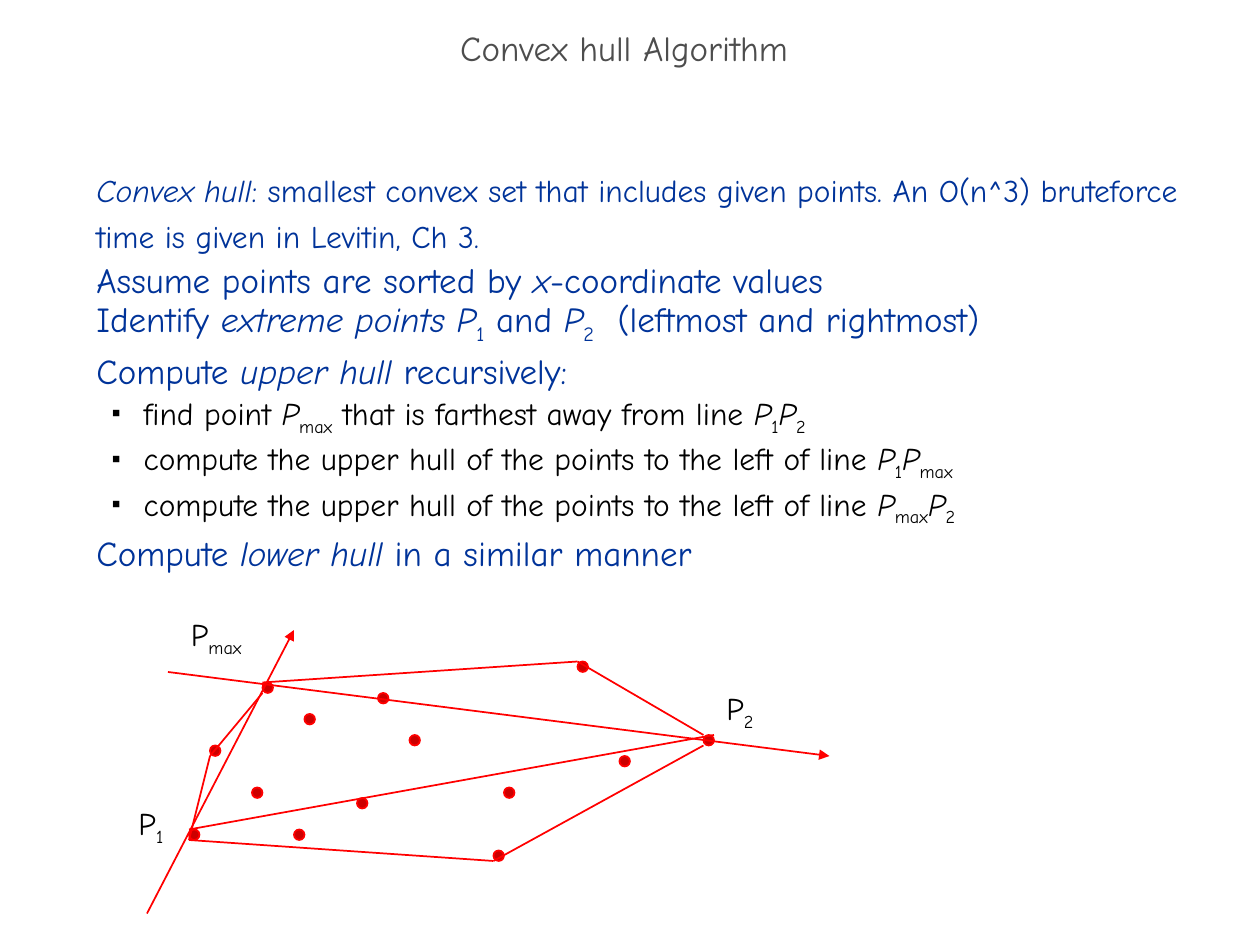
from dataclasses import dataclass

from lxml.etree import SubElement
from pptx import Presentation
from pptx.dml.color import RGBColor
from pptx.enum.shapes import MSO_CONNECTOR as Connector, MSO_SHAPE as Shape
from pptx.enum.text import MSO_ANCHOR as Anchor, MSO_AUTO_SIZE as AutoSize, PP_ALIGN as Align
from pptx.oxml.ns import qn
from pptx.util import Emu, Pt

EMU_PER_PX = 9525  # 96 px to the inch
FONT = "Comic Neue"
COLORS = {"title": "4D4D4D", "step": "003399", "detail": "000000", "dot": "CC0000", "edge": "FF0000"}
DOT_SIZE = 8


@dataclass(frozen=True)
class Span:
    text: str
    italic: bool = False
    subscript: bool = False


@dataclass(frozen=True)
class Line:
    spans: list[Span]
    size: int = 20
    color: str = "step"
    bullet: bool = False


@dataclass(frozen=True)
class Edge:
    start: tuple[int, int]
    end: tuple[int, int]
    arrow: bool = False


@dataclass(frozen=True)
class Label:
    left: int
    top: int
    width: int
    subscript: str


def px(length: int) -> Emu:
    return Emu(length * EMU_PER_PX)


def rgb(name: str) -> RGBColor:
    return RGBColor.from_string(COLORS[name])


def plain(text: str) -> Span:
    return Span(text)


def italic(text: str) -> Span:
    return Span(text, italic=True)


def point(index: str) -> list[Span]:
    return [italic("P"), Span(index, subscript=True)]


def detail(*spans: Span) -> Line:
    return Line(list(spans), 18, "detail", True)


def style_font(para, size: int, color: str) -> None:
    para.font.name = FONT
    para.font.size = Pt(size)
    para.font.color.rgb = rgb(color)


def add_spans(para, spans: list[Span]) -> None:
    for span in spans:
        run = para.add_run()
        run.text = span.text
        if span.italic:
            run.font.italic = True
        if span.subscript:
            run.font._element.set("baseline", "-25000")


def add_bullet(para) -> None:
    para.level = 1
    props = para._p.get_or_add_pPr()
    props.set("marL", str(px(36)))
    props.set("indent", str(-px(24)))
    color = SubElement(props, qn("a:buClr"))
    SubElement(color, qn("a:srgbClr"), val=COLORS["detail"])
    SubElement(props, qn("a:buSzPct"), val="35000")
    SubElement(props, qn("a:buChar"), char="■")


def write_line(para, line: Line) -> None:
    para.line_spacing = Pt(26)
    if line.bullet:
        add_bullet(para)
    style_font(para, line.size, line.color)
    add_spans(para, line.spans)


def add_dot(page, left: int, top: int) -> None:
    dot = page.shapes.add_shape(Shape.OVAL, px(left), px(top), px(DOT_SIZE), px(DOT_SIZE))
    dot.shadow.inherit = False
    dot.fill.solid()
    dot.fill.fore_color.rgb = rgb("dot")
    dot.line.color.rgb = rgb("edge")
    dot.line.width = Pt(1)


def add_edge(page, edge: Edge) -> None:
    line = page.shapes.add_connector(Connector.STRAIGHT, *map(px, edge.start + edge.end))
    line.line.color.rgb = rgb("edge")
    line.line.width = Pt(1)
    if edge.arrow:
        SubElement(line.line._get_or_add_ln(), qn("a:tailEnd"), type="triangle")
    SubElement(line._element.spPr, qn("a:effectLst"))


def add_label(page, label: Label) -> None:
    box = page.shapes.add_textbox(px(label.left), px(label.top), px(label.width), px(48))
    frame = box.text_frame
    frame.word_wrap = False
    frame.auto_size = AutoSize.SHAPE_TO_FIT_TEXT
    style_font(frame.paragraphs[0], 18, "detail")
    add_spans(frame.paragraphs[0], [plain("P"), Span(label.subscript, subscript=True)])


LEFT_OF_LINE = plain("compute the upper hull of the points to the left of line ")
LINES = [
    Line([italic("Convex hull"), plain(": smallest convex set that includes given points. "
          "An O(n^3) bruteforce time is given in Levitin, Ch 3.")], 18),
    Line([plain("Assume points are sorted by "), italic("x"), plain("-coordinate values")]),
    Line([plain("Identify "), italic("extreme points "), *point("1"), plain(" and "), *point("2"),
          plain("  (leftmost and rightmost)")]),
    Line([plain("Compute "), italic("upper hull"), plain(" recursively:")]),
    detail(plain("find point "), *point("max"), plain(" that is farthest away from line "),
           *point("1"), *point("2")),
    detail(LEFT_OF_LINE, *point("1"), *point("max")),
    detail(LEFT_OF_LINE, *point("max"), *point("2")),
    Line([plain("Compute "), italic("lower hull"), plain(" in a similar manner")]),
]
DOTS = [(376, 648), (536, 560), (144, 632), (160, 568), (472, 576), (192, 600), (200, 520),
        (224, 632), (232, 544), (312, 560), (272, 608), (288, 528), (384, 600), (440, 504)]
EDGES = [
    Edge((144, 640), (376, 656)),
    Edge((376, 656), (536, 568)),
    Edge((536, 560), (440, 504)),
    Edge((440, 504), (200, 520)),
    Edge((200, 528), (160, 576)),
    Edge((144, 640), (160, 576)),
    Edge((144, 632), (544, 560)),
]
ARROWS = [Edge((112, 696), (224, 480), True), Edge((128, 512), (632, 576), True)]
LABELS = [Label(96, 608, 48, "1"), Label(544, 520, 48, "2"), Label(136, 464, 74, "max")]


def main() -> None:
    deck = Presentation()
    deck.slide_width, deck.slide_height = px(960), px(720)
    page = deck.slides.add_slide(deck.slide_layouts[5])

    # Title
    title = page.shapes.title
    title.left, title.top, title.width, title.height = px(0), px(16), px(960), px(48)
    title.text_frame.text = "Convex hull Algorithm "
    title.text_frame.auto_size = AutoSize.NONE
    title.text_frame.vertical_anchor = Anchor.MIDDLE
    heading = title.text_frame.paragraphs[0]
    heading.alignment = Align.CENTER
    heading.line_spacing = 0.7
    style_font(heading, 20, "title")

    # Steps of the algorithm
    box = page.shapes.add_textbox(px(64), px(120), px(872), px(523))
    frame = box.text_frame
    frame.word_wrap = True
    for index, line in enumerate(LINES):
        write_line(frame.add_paragraph() if index else frame.paragraphs[0], line)

    # Point set, hull and dividing lines
    for left, top in DOTS:
        add_dot(page, left, top)
    for edge in EDGES:
        add_edge(page, edge)
    for label in LABELS:
        add_label(page, label)
    for arrow in ARROWS:
        add_edge(page, arrow)

    deck.save("out.pptx")


if __name__ == "__main__":
    main()
